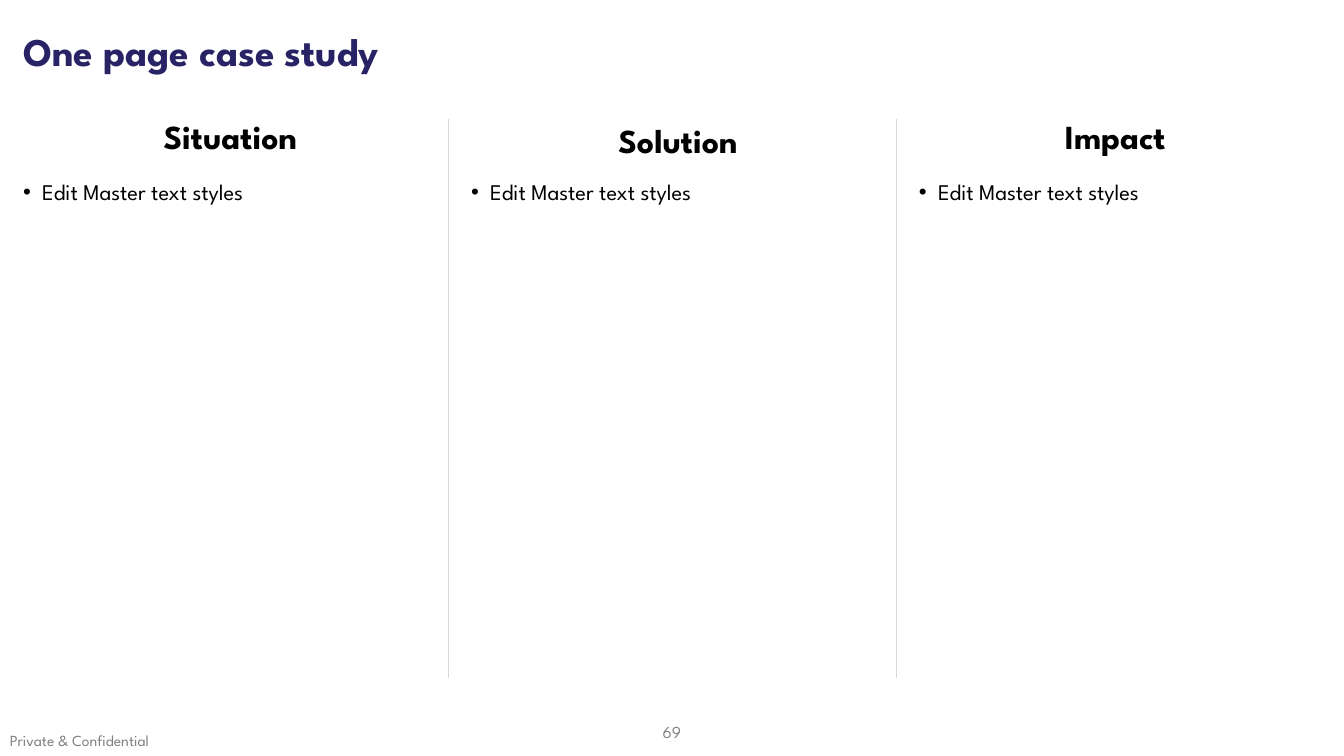
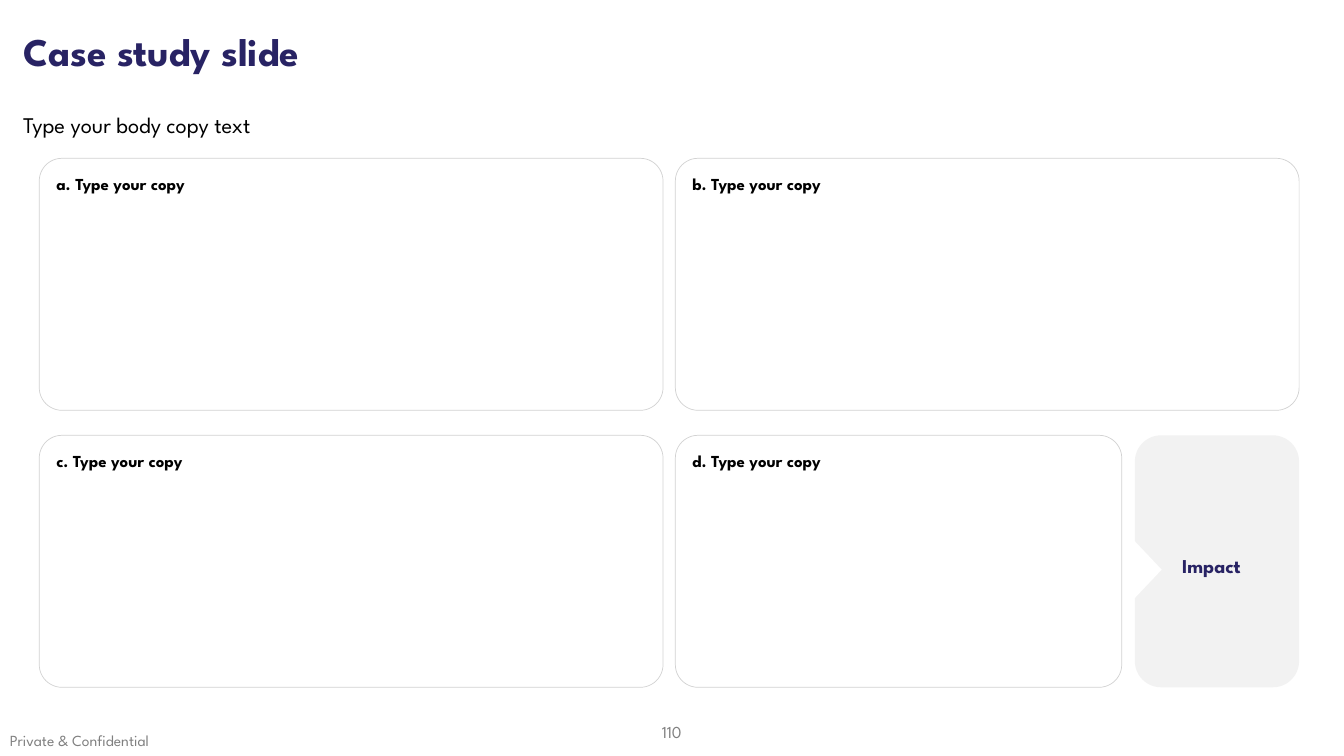
"""Builds two case study slides: a three-column page and a four-card page."""
import pptx
import pptx.dml.color
import pptx.enum.shapes
import pptx.enum.text
import pptx.oxml.ns
import pptx.util
from lxml import etree

Cm, Pt = pptx.util.Cm, pptx.util.Pt
ALIGN = pptx.enum.text.PP_ALIGN
ANCHOR = pptx.enum.text.MSO_ANCHOR
SHAPE = pptx.enum.shapes.MSO_SHAPE
qn = pptx.oxml.ns.qn

COLUMNS = [
    ("Situation", "Edit Master text styles"),
    ("Solution", "Edit Master text styles"),
    ("Impact", "Edit Master text styles"),
]
CARDS = ["a. Type your copy", "b. Type your copy", "c. Type your copy", "d. Type your copy"]
CONFIDENTIAL = "Private & Confidential"

FONT = "League Spartan"
COLORS = {
    "navy": "282364", "black": "000000", "grey": "808080", "white": "FFFFFF",
    "divider": "D9D9D9", "outline": "D2D2D2", "panel": "F2F2F2",
}
WIDTH, HEIGHT = 33.87, 19.05
TEXT_INDENT = 0.33


def rgb(name):
    return pptx.dml.color.RGBColor.from_string(COLORS[name])


def lengths(frame):
    return [Cm(value) for value in frame]


def write(box, frame, text, size, color="black", bold=False, align=ALIGN.LEFT,
          anchor=ANCHOR.TOP, indent=0, hanging=0, spacing=1.0):
    box.left, box.top, box.width, box.height = lengths(frame)
    body = box.text_frame
    body.text = text
    body.word_wrap = True
    body.auto_size = pptx.enum.text.MSO_AUTO_SIZE.NONE
    body.vertical_anchor = anchor
    paragraph = body.paragraphs[0]
    paragraph.alignment = align
    paragraph.line_spacing = spacing
    paragraph.space_before = Pt(0)
    properties = paragraph._p.get_or_add_pPr()
    properties.set("marL", str(Cm(indent)))
    properties.set("indent", str(-Cm(hanging)))
    if hanging:
        etree.SubElement(properties, qn("a:buFont"), typeface="Arial")
        etree.SubElement(properties, qn("a:buChar"), char="•")
    else:
        etree.SubElement(properties, qn("a:buNone"))
    font = paragraph.font
    font.name, font.size, font.bold = FONT, Pt(size), bold
    font.color.rgb = rgb(color)


def add_text(slide, frame, text, size, **style):
    write(slide.shapes.add_textbox(*lengths(frame)), frame, text, size, **style)


def add_panel(slide, kind, frame, fill=None, line=None, corner=None):
    panel = slide.shapes.add_shape(kind, *lengths(frame))
    panel.shadow.inherit = False
    if corner is not None:
        panel.adjustments[0] = corner
    if fill:
        panel.fill.solid()
        panel.fill.fore_color.rgb = rgb(fill)
    else:
        panel.fill.background()
    if line:
        panel.line.color.rgb = rgb(line)
        panel.line.width = Pt(0.5)
    else:
        panel.line.fill.background()
    return panel


def add_divider(slide, x, top, length):
    divider = slide.shapes.add_connector(
        pptx.enum.shapes.MSO_CONNECTOR.STRAIGHT, *lengths((x, top, x, top + length)))
    divider.line.color.rgb = rgb("divider")
    divider.line.width = Pt(0.5)
    etree.SubElement(divider._element.spPr, qn("a:effectLst"))


def start_slide(deck, layout, title, number):
    slide = deck.slides.add_slide(deck.slide_layouts.get_by_name(layout))
    add_text(slide, (16.18, 17.93, 1.5, 1.02), number, 12, color="grey",
             align=ALIGN.CENTER, anchor=ANCHOR.MIDDLE)
    add_text(slide, (0, 18.31, 8.43, 0.74), CONFIDENTIAL, 11, color="grey")
    write(slide.shapes.title, (0, 0.03, WIDTH, 2.67), title, 28, color="navy", bold=True,
          anchor=ANCHOR.MIDDLE, indent=TEXT_INDENT, spacing=0.9)
    return slide


def build_columns(deck):
    slide = start_slide(deck, "Comparison", "One page case study", "69")
    column_width = WIDTH / 3
    bodies = [box for box in slide.placeholders if box.placeholder_format.idx > 0]
    bodies += [slide.shapes.add_textbox(0, 0, 0, 0) for _ in range(2)]
    heading_places = [(3.15, 2.92), (14.43, 3.02), (25.45, 2.92)]
    for index, (heading, bullet) in enumerate(COLUMNS):
        left = index * column_width
        heading_box, list_box = bodies[2 * index:2 * index + 2]
        write(heading_box, (*heading_places[index], 4.98, 1.27), heading, 24, bold=True,
              align=ALIGN.CENTER, indent=TEXT_INDENT, spacing=0.9)
        write(list_box, (left, 4.44, column_width, 2.67), bullet, 16,
              indent=0.81, hanging=0.48, spacing=0.9)
        if index:
            add_divider(slide, left, 3.01, 14.07)


def build_cards(deck):
    slide = start_slide(deck, "Title and Content", "Case study slide", "110")
    card_left, card_top, card_width, card_height = 0.99, 3.99, 15.72, 6.35
    step_x, step_y = 16.03, 6.98
    impact_width, gap = 4.14, 0.33
    for index, label in enumerate(CARDS):
        row, column = divmod(index, 2)
        left, top = card_left + column * step_x, card_top + row * step_y
        is_last = index == len(CARDS) - 1
        width = card_width - (impact_width + gap if is_last else 0)
        add_panel(slide, SHAPE.ROUNDED_RECTANGLE, (left, top, width, card_height),
                  line="outline", corner=0.09)
        add_text(slide, (left + 0.18, top + 0.27, width - 0.2, 0.76), label, 12, bold=True)

    impact_left = card_left + step_x + card_width - impact_width
    add_panel(slide, SHAPE.ROUNDED_RECTANGLE,
              (impact_left, card_top + step_y, impact_width, card_height),
              fill="panel", corner=0.16)
    notch = add_panel(slide, SHAPE.ISOSCELES_TRIANGLE, (28.17, 14, 1.5, 0.71), fill="white")
    notch.rotation = 90
    add_text(slide, (29.54, 13.82, 3.2, 0.86), "Impact", 14, color="navy", bold=True,
             anchor=ANCHOR.MIDDLE)
    write(slide.placeholders[1], (0, 2.67, WIDTH, 1.73), "Type your body copy text", 16,
          indent=TEXT_INDENT)


def main():
    deck = pptx.Presentation()
    deck.slide_width, deck.slide_height = Cm(WIDTH), Cm(HEIGHT)
    build_columns(deck)
    build_cards(deck)
    deck.save("out.pptx")


if __name__ == "__main__":
    main()
